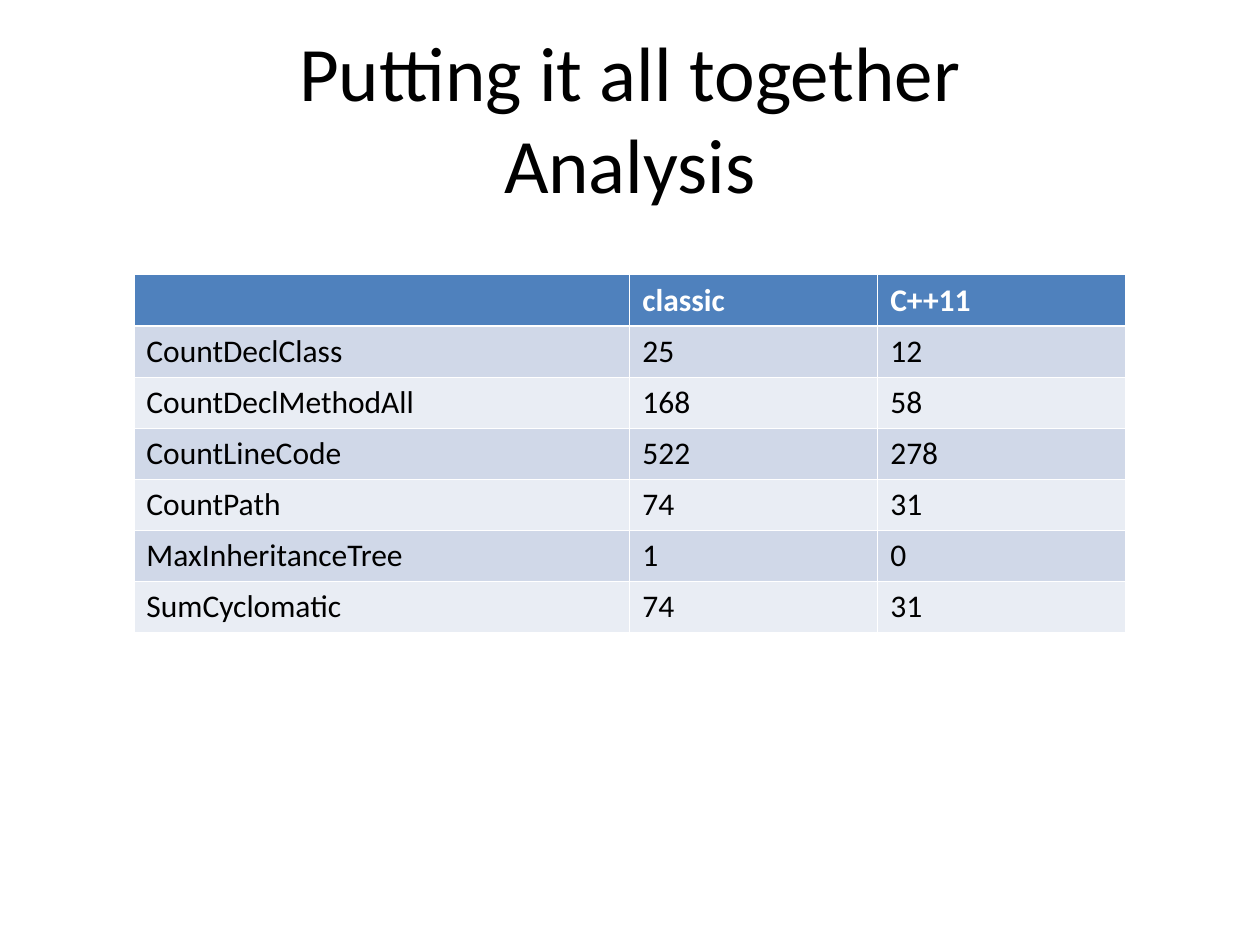
import pptx
import pptx.dml.color
import pptx.enum.text
import pptx.oxml
import pptx.oxml.ns
import pptx.util

Pt = pptx.util.Pt

# Content
TITLE = "Putting it all together\vAnalysis"
ROWS = [
    ("", "classic", "C++11"),
    ("CountDeclClass", "25", "12"),
    ("CountDeclMethodAll", "168", "58"),
    ("CountLineCode", "522", "278"),
    ("CountPath", "74", "31"),
    ("MaxInheritanceTree", "1", "0"),
    ("SumCyclomatic", "74", "31"),
]

# Layout and formats
TITLE_BOX = (36, 21.6, 648, 90)
TABLE_LEFT, TABLE_TOP = 76.5, 157
COL_WIDTHS = (283.4, 141.7, 141.7)
ROW_HEIGHT = 29.2
HEADER_FILL, BANDS = "4F81BD", ("D0D8E8", "E9EDF4")
THIN, THICK = 0.45, 1.47
TITLE_FONT = {"name": "Calibri", "size": Pt(44), "bold": False}
HEADER_FONT = {"name": "Calibri", "size": Pt(18), "bold": True}
BODY_FONT = {**HEADER_FONT, "bold": False}


def rgb(value):
    return pptx.dml.color.RGBColor.from_string(value)


def style(font, formats, color):
    for name, value in formats.items():
        setattr(font, name, value)
    font.color.rgb = rgb(color)


def set_borders(cell, top, bottom):
    widths = {"lnL": THIN, "lnR": THIN, "lnT": top, "lnB": bottom}
    for tag, width in widths.items():
        cell._tc.get_or_add_tcPr().append(pptx.oxml.parse_xml(
            f'<a:{tag} {pptx.oxml.ns.nsdecls("a")} w="{Pt(width)}">'
            f'<a:solidFill><a:srgbClr val="FFFFFF"/></a:solidFill></a:{tag}>'))


prs = pptx.Presentation()
prs.slide_width, prs.slide_height = Pt(720), Pt(540)
s = prs.slides.add_slide(prs.slide_layouts[5])

# Title
title = s.shapes.title
title.left, title.top, title.width, title.height = map(Pt, TITLE_BOX)
tf = title.text_frame
tf.text = TITLE
tf.word_wrap = True
tf.auto_size = pptx.enum.text.MSO_AUTO_SIZE.NONE
tf.vertical_anchor = pptx.enum.text.MSO_ANCHOR.MIDDLE
p = tf.paragraphs[0]
p.alignment = pptx.enum.text.PP_ALIGN.CENTER
for r in p.runs:
    style(r.font, TITLE_FONT, "000000")

# Metrics table
table = s.shapes.add_table(
    len(ROWS), len(COL_WIDTHS), Pt(TABLE_LEFT), Pt(TABLE_TOP),
    Pt(sum(COL_WIDTHS)), Pt(ROW_HEIGHT * len(ROWS))).table
for column, width in zip(table.columns, COL_WIDTHS):
    column.width = Pt(width)

for i, values in enumerate(ROWS):
    table.rows[i].height = Pt(ROW_HEIGHT)
    header = i == 0
    for j, value in enumerate(values):
        cell = table.cell(i, j)
        set_borders(cell, THICK if i == 1 else THIN, THICK if header else THIN)
        cell.fill.solid()
        cell.fill.fore_color.rgb = rgb(HEADER_FILL if header else BANDS[(i - 1) % 2])
        if value:
            r = cell.text_frame.paragraphs[0].add_run()
            r.text = value
            style(r.font, HEADER_FONT if header else BODY_FONT,
                  "FFFFFF" if header else "000000")

prs.save("out.pptx")
